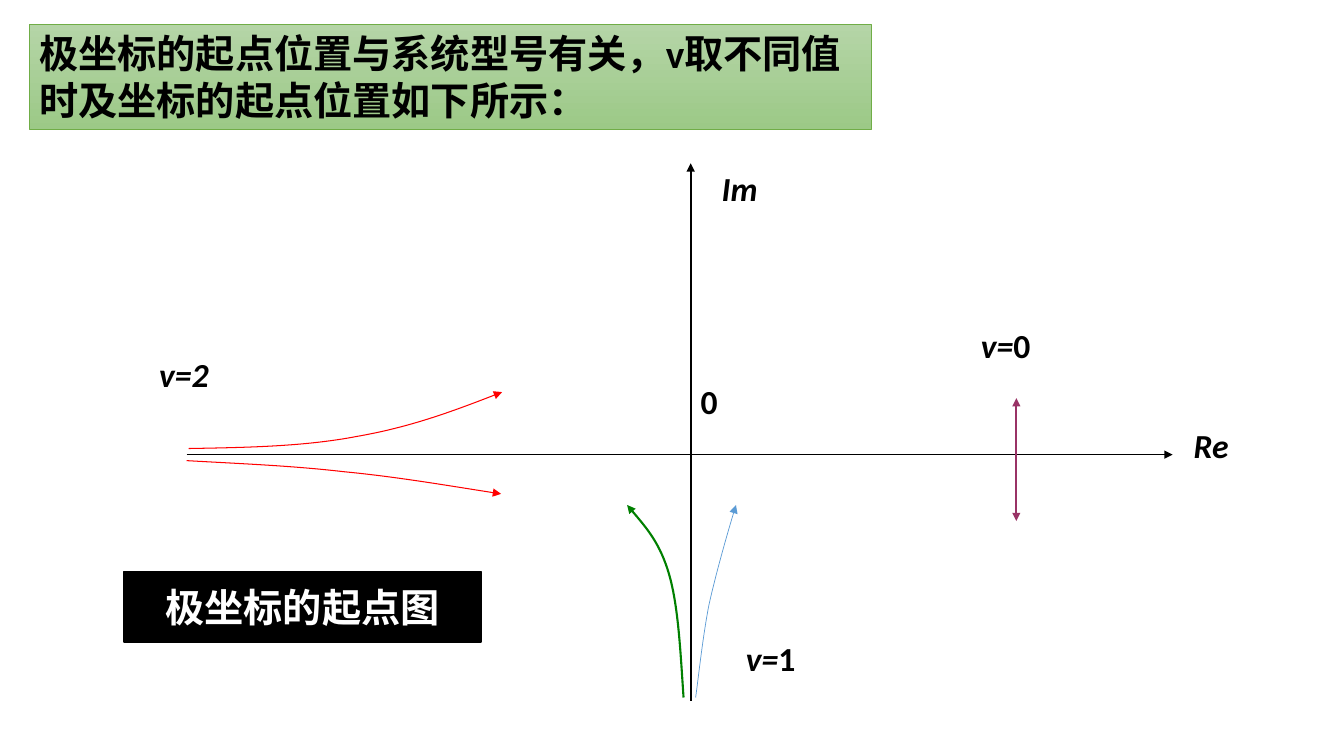
import pptx
import pptx.dml.color
import pptx.enum.shapes
import pptx.enum.text
import pptx.oxml
import pptx.oxml.ns
import pptx.util
from pptx.dml.color import RGBColor
from pptx.util import Inches

BLACK = RGBColor(0x00, 0x00, 0x00)
WHITE = RGBColor(0xFF, 0xFF, 0xFF)
LIGHT_GREEN = RGBColor(0xB5, 0xD5, 0xA7)
MID_GREEN = RGBColor(0x9C, 0xC9, 0x87)
BORDER_GREEN = RGBColor(0x70, 0xAD, 0x47)
RED = RGBColor(0xFF, 0x00, 0x00)
GREEN = RGBColor(0x00, 0x80, 0x00)
BLUE = RGBColor(0x5B, 0x9B, 0xD5)
PLUM = RGBColor(0x99, 0x33, 0x66)
LATIN, CHINESE = "Calibri", "Noto Sans CJK SC"

CURVES = [
    (RED, 0.75, [(-4.98, -0.06), (-4.4, -0.07), (-3.83, -0.08), (-3.31, -0.18),
                 (-2.79, -0.27), (-2.33, -0.44), (-1.87, -0.62)]),
    (RED, 0.75, [(-5, 0.06), (-4.48, 0.09), (-3.96, 0.11), (-3.44, 0.17),
                 (-2.92, 0.22), (-2.4, 0.31), (-1.88, 0.39)]),
    (GREEN, 1.5, [(-0.07, 2.41), (-0.1, 1.97), (-0.12, 1.52), (-0.21, 1.2),
                  (-0.3, 0.88), (-0.47, 0.69), (-0.63, 0.5)]),
    (BLUE, 0.5, [(0.05, 2.41), (0.09, 2.11), (0.12, 1.82), (0.18, 1.5),
                 (0.25, 1.18), (0.4, 0.66), (0.45, 0.5)]),
]
LABELS = [
    (-5.37, -1.05, 0.7, "v=2", ""),
    (0.45, 1.77, 0.7, "v=", "1"),
    (2.78, -1.34, 0.7, "v=", "0"),
    (0, -0.78, 0.37, "", "0"),
    (4.89, -0.34, 0.55, "Re", ""),
    (0.21, -2.89, 0.56, "Im", ""),
]


def style_run(run, size, color, latin=LATIN, italic=False):
    """Set the bold face, size and colour of a run."""
    font = run.font
    font.size = pptx.util.Pt(size)
    font.name, font.bold, font.italic = latin, True, italic
    font.color.rgb = color
    east_asian = pptx.oxml.parse_xml(
        f'<a:ea {pptx.oxml.ns.nsdecls("a")} typeface="{CHINESE}"/>')
    font.fill
    run.font._element.find(pptx.oxml.ns.qn("a:latin")).addnext(east_asian)


def style_line(shape, color, width, ends=()):
    """Colour an outline and put triangles on the given ends."""
    shape.line.color.rgb = color
    shape.line.width = pptx.util.Pt(width)
    outline = shape.element.xpath("./p:spPr/a:ln")[0]
    for end in ends:
        outline.append(pptx.oxml.parse_xml(
            f'<a:{end} {pptx.oxml.ns.nsdecls("a")} type="triangle"/>'))


def add_arrow(slide, start, finish, color, width, ends=("tailEnd",)):
    """Draw a straight arrow between two points in inches."""
    arrow = slide.shapes.add_connector(
        pptx.enum.shapes.MSO_CONNECTOR.STRAIGHT,
        *(Inches(value) for value in (*start, *finish)))
    style_line(arrow, color, width, ends)
    arrow.element.spPr.append(pptx.oxml.parse_xml(
        f'<a:effectLst {pptx.oxml.ns.nsdecls("a")}/>'))


def add_curve(slide, points, color, width):
    """Draw an arrow along Bezier points in inches."""
    corners = [(Inches(x), Inches(y)) for x, y in points]
    builder = slide.shapes.build_freeform(*corners[0])
    builder.add_line_segments(corners[1:], close=False)
    curve = builder.convert_to_shape()
    segments = curve.element.xpath(".//a:lnTo")
    for first in range(0, len(segments), 3):
        bezier = pptx.oxml.parse_xml(
            f'<a:cubicBezTo {pptx.oxml.ns.nsdecls("a")}/>')
        segments[first].addprevious(bezier)
        for segment in segments[first:first + 3]:
            bezier.append(segment[0])
            segment.getparent().remove(segment)
    curve.fill.background()
    curve.shadow.inherit = False
    style_line(curve, color, width, ("tailEnd",))


def add_label(slide, left, top, width, italic_text, upright_text):
    """Add a label with an italic part and an upright part."""
    label = slide.shapes.add_textbox(
        Inches(left), Inches(top), Inches(width), Inches(0.5))
    frame = label.text_frame
    frame.word_wrap = False
    frame.auto_size = pptx.enum.text.MSO_AUTO_SIZE.SHAPE_TO_FIT_TEXT
    for text, italic in ((italic_text, True), (upright_text, False)):
        if text:
            run = frame.paragraphs[0].add_run()
            run.text = text
            style_run(run, 24, BLACK, italic=italic)


def add_heading(slide, left, top, width, height):
    """Format the title as a green gradient banner."""
    heading = slide.shapes.title
    heading.left, heading.top = Inches(left), Inches(top)
    heading.width, heading.height = Inches(width), Inches(height)
    heading.fill.gradient()
    heading.fill.gradient_angle = 270
    for stop, color in zip(heading.fill.gradient_stops, (LIGHT_GREEN, MID_GREEN)):
        stop.color.rgb = color
    style_line(heading, BORDER_GREEN, 0.5)
    frame = heading.text_frame
    frame.text = "极坐标的起点位置与系统型号有关，v取不同值时及坐标的起点位置如下所示："
    frame.word_wrap = True
    frame.auto_size = pptx.enum.text.MSO_AUTO_SIZE.SHAPE_TO_FIT_TEXT
    frame.vertical_anchor = pptx.enum.text.MSO_ANCHOR.TOP
    frame.paragraphs[0].alignment = pptx.enum.text.PP_ALIGN.LEFT
    style_run(frame.paragraphs[0].runs[0], 28, BLACK)


def add_polar_plot(slide, left, top, width, height):
    """Draw the axes, starting curves and labels around the origin."""
    re_zero, im_zero = left + 5, top + 2.89
    add_arrow(slide, (left, im_zero), (left + width, im_zero), BLACK, 1)
    add_arrow(slide, (re_zero, top + height), (re_zero, top), BLACK, 1.5)
    for color, weight, points in CURVES:
        add_curve(slide, [(re_zero + x, im_zero + y) for x, y in points], color, weight)
    add_arrow(slide, (re_zero + 3.23, im_zero - 0.56), (re_zero + 3.23, im_zero + 0.66),
              PLUM, 1.5, ("headEnd", "tailEnd"))
    for x, y, label_width, italic_text, upright_text in LABELS:
        add_label(slide, re_zero + x, im_zero + y, label_width, italic_text, upright_text)


def add_caption(slide, left, top, width, height):
    """Add the black caption of the plot."""
    caption = slide.shapes.add_shape(
        pptx.enum.shapes.MSO_SHAPE.RECTANGLE,
        Inches(left), Inches(top), Inches(width), Inches(height))
    caption.shadow.inherit = False
    caption.fill.solid()
    caption.fill.fore_color.rgb = BLACK
    style_line(caption, BLACK, 1)
    frame = caption.text_frame
    frame.text = "极坐标的起点图"
    frame.word_wrap = False
    frame.vertical_anchor = pptx.enum.text.MSO_ANCHOR.MIDDLE
    frame.paragraphs[0].alignment = pptx.enum.text.PP_ALIGN.CENTER
    style_run(frame.paragraphs[0].runs[0], 28, WHITE, CHINESE)


def main():
    """Build and save the slide."""
    presentation = pptx.Presentation()
    presentation.slide_width = Inches(13.33)
    presentation.slide_height = Inches(7.5)
    slide = presentation.slides.add_slide(presentation.slide_layouts[5])
    add_heading(slide, 0.29, 0.24, 8.35, 1.04)
    add_polar_plot(slide, 1.85, 1.62, 9.78, 5.33)
    add_caption(slide, 1.23, 5.67, 3.54, 0.7)
    presentation.save("out.pptx")


if __name__ == "__main__":
    main()
